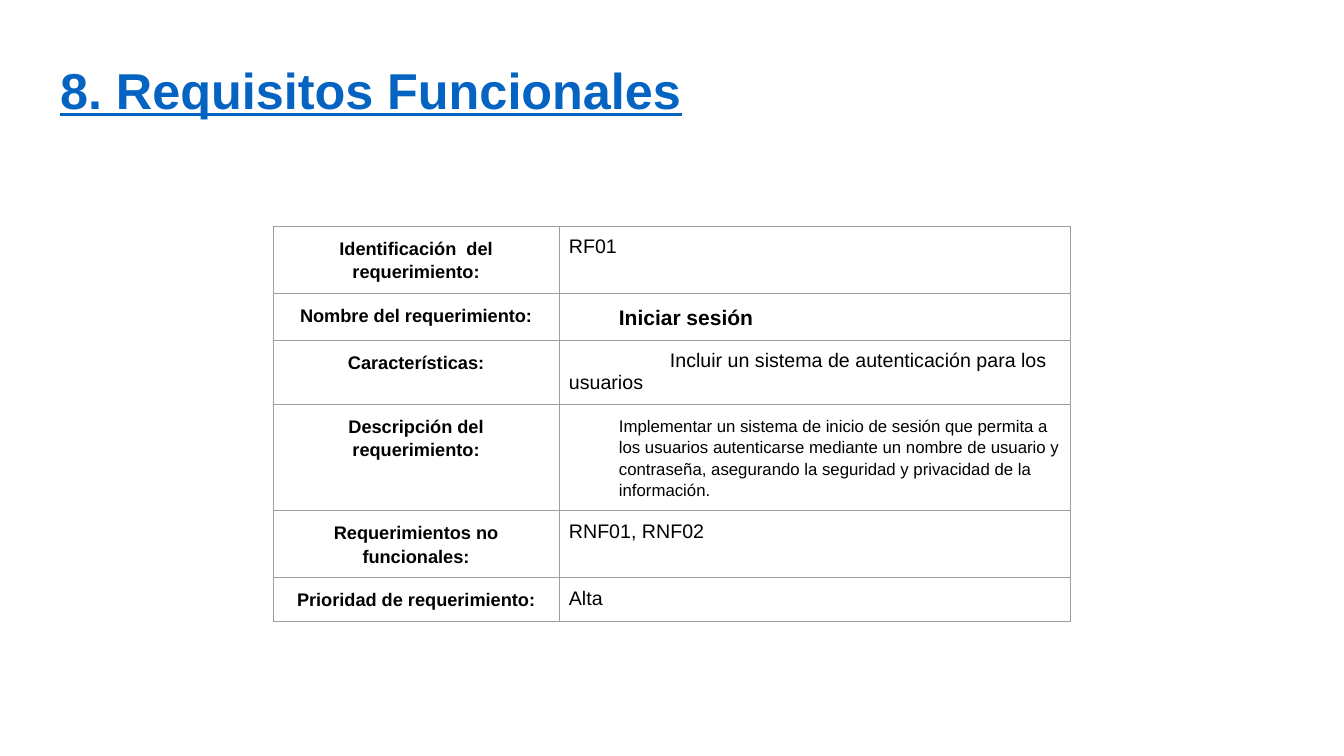
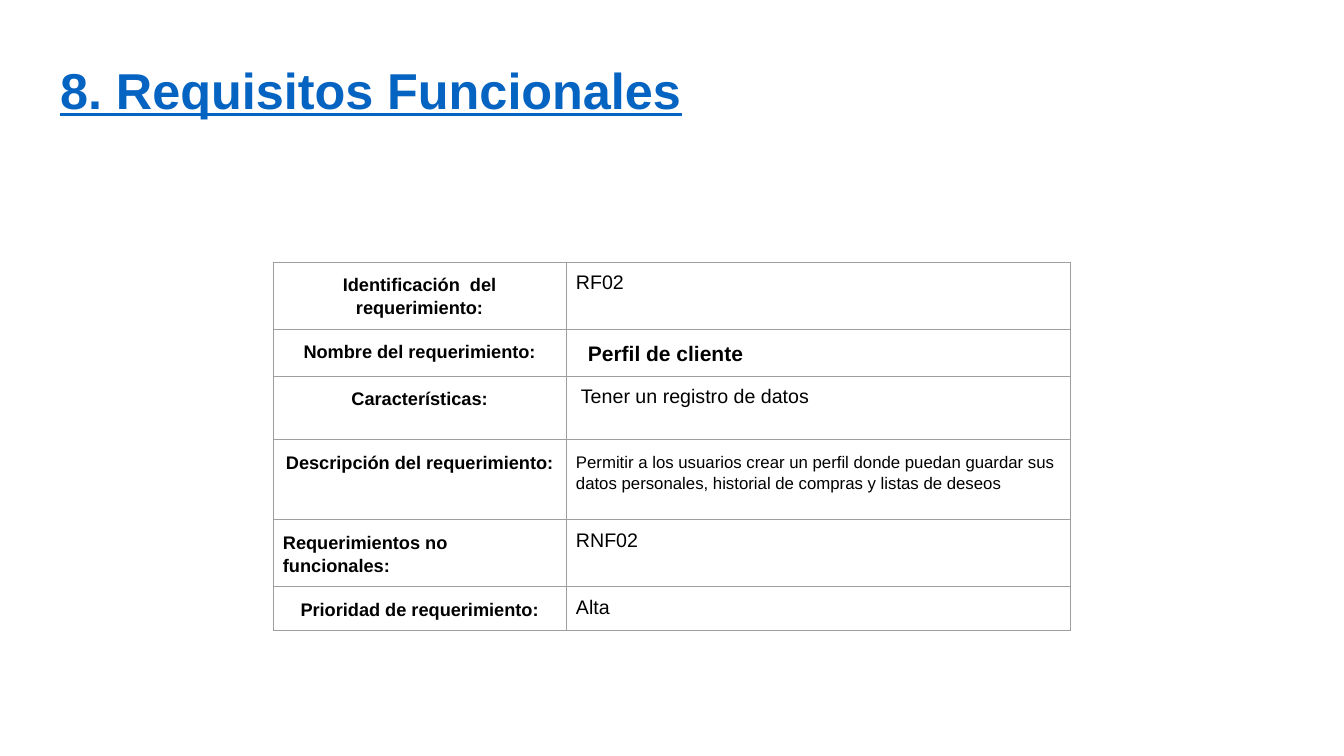
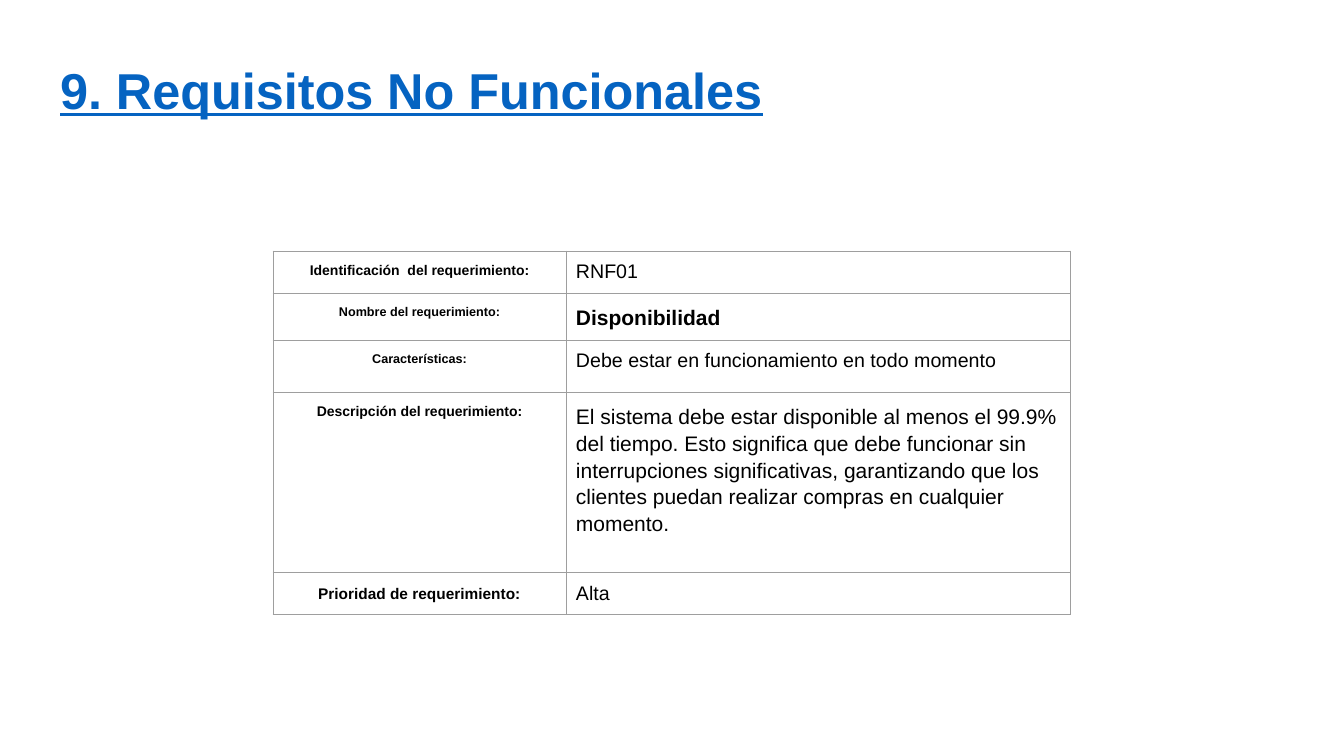
from dataclasses import dataclass

from lxml import etree
from pptx import Presentation
from pptx.dml.color import RGBColor
from pptx.enum.text import MSO_ANCHOR, MSO_AUTO_SIZE, PP_ALIGN
from pptx.oxml.ns import qn
from pptx.util import Emu, Pt

LEFT = PP_ALIGN.LEFT
CENTER = PP_ALIGN.CENTER
MIDDLE = MSO_ANCHOR.MIDDLE
NO_AUTOFIT = MSO_AUTO_SIZE.NONE

PX_PER_INCH = 100.8
SLIDE_SIZE = (1344, 756)
TITLE_ONLY_LAYOUT = 5
TITLE_BOX = (50, 12, 1272, 146)
TABLE_LEFT = 273
CELL_MARGIN = 10
FONT = "Arial"
COLORS = {"title": "0563C1", "text": "000000", "border": "9E9E9E"}
BORDER_WIDTH = Pt(0.75)
BORDER_TAGS = ("a:lnL", "a:lnR", "a:lnT", "a:lnB")
LOOSE_SPACING = 1.15

IDENTIFIER = "Identificación  del requerimiento:"
NAME = "Nombre del requerimiento:"
FEATURES = "Características:"
DESCRIPTION = "Descripción del requerimiento:"
NON_FUNCTIONAL = "Requerimientos no funcionales:"
PRIORITY = "Prioridad de requerimiento:"


@dataclass
class Entry:
    """One table row: a bold label and its value; lengths are in px."""
    height: int
    label: str
    value: str
    label_size: int = 13
    label_alignment: PP_ALIGN = CENTER
    size: int = 14
    bold: bool = False
    spacing: float = 1.0
    margin: int = 0
    first_line: int = 0


def name_entry(height, value, **options):
    return Entry(height, NAME, value, size=15, bold=True,
                 spacing=LOOSE_SPACING, **options)


def description_entry(height, value, size=12, **options):
    return Entry(height, DESCRIPTION, value, size=size,
                 spacing=LOOSE_SPACING, **options)


def px(length):
    return Emu(round(length * 914400 / PX_PER_INCH))


def format_font(paragraph, size, color, bold, underline=None):
    for run in paragraph.runs:
        run.font.name = FONT
        run.font.size = Pt(size)
        run.font.bold = bold
        run.font.underline = underline
        run.font.color.rgb = RGBColor.from_string(COLORS[color])


def add_title(slide, text):
    title = slide.shapes.title
    title.left, title.top, title.width, title.height = map(px, TITLE_BOX)
    frame = title.text_frame
    frame.text = text
    frame.word_wrap = True
    frame.auto_size = NO_AUTOFIT
    frame.vertical_anchor = MIDDLE
    frame.margin_left = frame.margin_right = px(10)
    frame.margin_top, frame.margin_bottom = px(13), px(5)
    paragraph = frame.paragraphs[0]
    paragraph.alignment = LEFT
    format_font(paragraph, 36, "title", True, underline=True)


def add_borders(cell):
    properties = cell._tc.get_or_add_tcPr()
    for position, tag in enumerate(BORDER_TAGS):
        line = etree.Element(qn(tag), w=str(BORDER_WIDTH))
        fill = etree.SubElement(line, qn("a:solidFill"))
        etree.SubElement(fill, qn("a:srgbClr"), val=COLORS["border"])
        properties.insert(position, line)


def fill_cell(cell, text, size, bold, alignment, spacing):
    """Write and style a cell, and return its paragraph."""
    cell.margin_left = cell.margin_right = px(CELL_MARGIN)
    cell.margin_top = cell.margin_bottom = px(CELL_MARGIN)
    cell.fill.background()
    add_borders(cell)
    cell.text_frame.text = text
    paragraph = cell.text_frame.paragraphs[0]
    paragraph.alignment = alignment
    paragraph.line_spacing = spacing
    format_font(paragraph, size, "text", bold)
    return paragraph


def indent(paragraph, margin, first_line):
    properties = paragraph._p.get_or_add_pPr()
    properties.set("marL", str(px(margin)))
    properties.set("indent", str(px(first_line)))


def add_requirement_table(slide, top, column_widths, entries):
    height = sum(entry.height for entry in entries)
    table = slide.shapes.add_table(
        len(entries), len(column_widths), px(TABLE_LEFT), px(top),
        px(sum(column_widths)), px(height)).table
    table.first_row = False
    table.horz_banding = False
    for column, width in zip(table.columns, column_widths):
        column.width = px(width)
    for row, entry in zip(table.rows, entries):
        row.height = px(entry.height)
        label_cell, value_cell = row.cells
        fill_cell(label_cell, entry.label, entry.label_size, True,
                  entry.label_alignment, LOOSE_SPACING)
        paragraph = fill_cell(value_cell, entry.value, entry.size, entry.bold,
                              LEFT, entry.spacing)
        indent(paragraph, entry.margin, entry.first_line)


def add_requirement_slide(presentation, title, top, column_widths, entries):
    layout = presentation.slide_layouts[TITLE_ONLY_LAYOUT]
    slide = presentation.slides.add_slide(layout)
    add_title(slide, title)
    add_requirement_table(slide, top, column_widths, entries)


def main():
    presentation = Presentation()
    presentation.slide_width, presentation.slide_height = map(px, SLIDE_SIZE)

    add_requirement_slide(
        presentation, "8. Requisitos Funcionales", 226, (286, 512), [
            Entry(67, IDENTIFIER, "RF01"),
            name_entry(47, "Iniciar sesión", margin=50),
            Entry(64, FEATURES,
                  "Incluir un sistema de autenticación para los usuarios",
                  first_line=101),
            description_entry(
                106,
                "Implementar un sistema de inicio de sesión que permita a los "
                "usuarios autenticarse mediante un nombre de usuario y "
                "contraseña, asegurando la seguridad y privacidad de la "
                "información.", margin=50),
            Entry(67, NON_FUNCTIONAL, "RNF01, RNF02"),
            Entry(44, PRIORITY, "Alta"),
        ])

    add_requirement_slide(
        presentation, "8. Requisitos Funcionales", 262, (293, 504), [
            Entry(67, IDENTIFIER, "RF02"),
            name_entry(47, "Perfil de cliente", margin=12),
            Entry(64, FEATURES, "Tener un registro de datos", margin=5),
            description_entry(
                80,
                "Permitir a los usuarios crear un perfil donde puedan guardar "
                "sus datos personales, historial de compras y listas de "
                "deseos"),
            Entry(67, NON_FUNCTIONAL, "RNF02", label_alignment=LEFT),
            Entry(43, PRIORITY, "Alta"),
        ])

    add_requirement_slide(
        presentation, "9. Requisitos No Funcionales", 251, (293, 504), [
            Entry(42, IDENTIFIER, "RNF01", label_size=10),
            name_entry(47, "Disponibilidad", label_size=9),
            Entry(52, FEATURES, "Debe estar en funcionamiento en todo momento",
                  label_size=9),
            description_entry(
                181,
                "El sistema debe estar disponible al menos el 99.9% del "
                "tiempo. Esto significa que debe funcionar sin interrupciones "
                "significativas, garantizando que los clientes puedan "
                "realizar compras en cualquier momento.",
                size=15, label_size=10),
            Entry(42, PRIORITY, "Alta", label_size=11),
        ])

    presentation.save("out.pptx")


if __name__ == "__main__":
    main()
